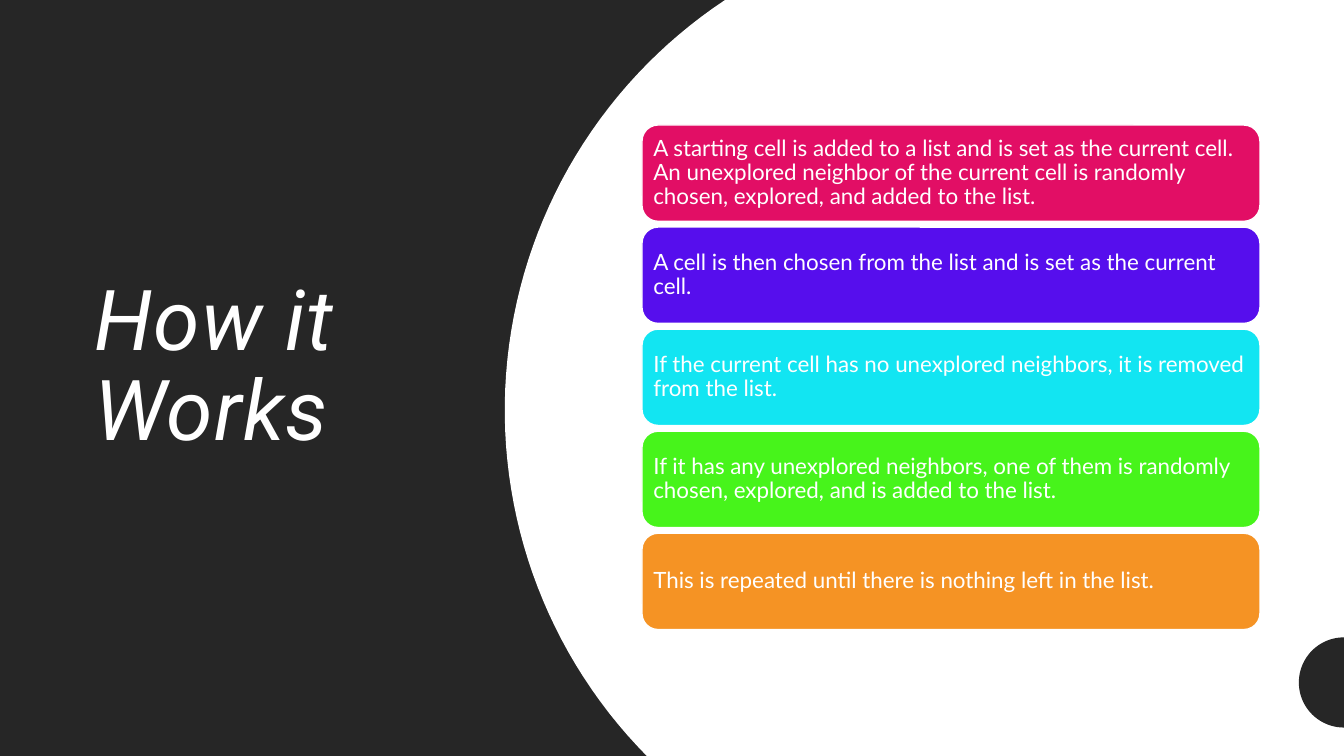
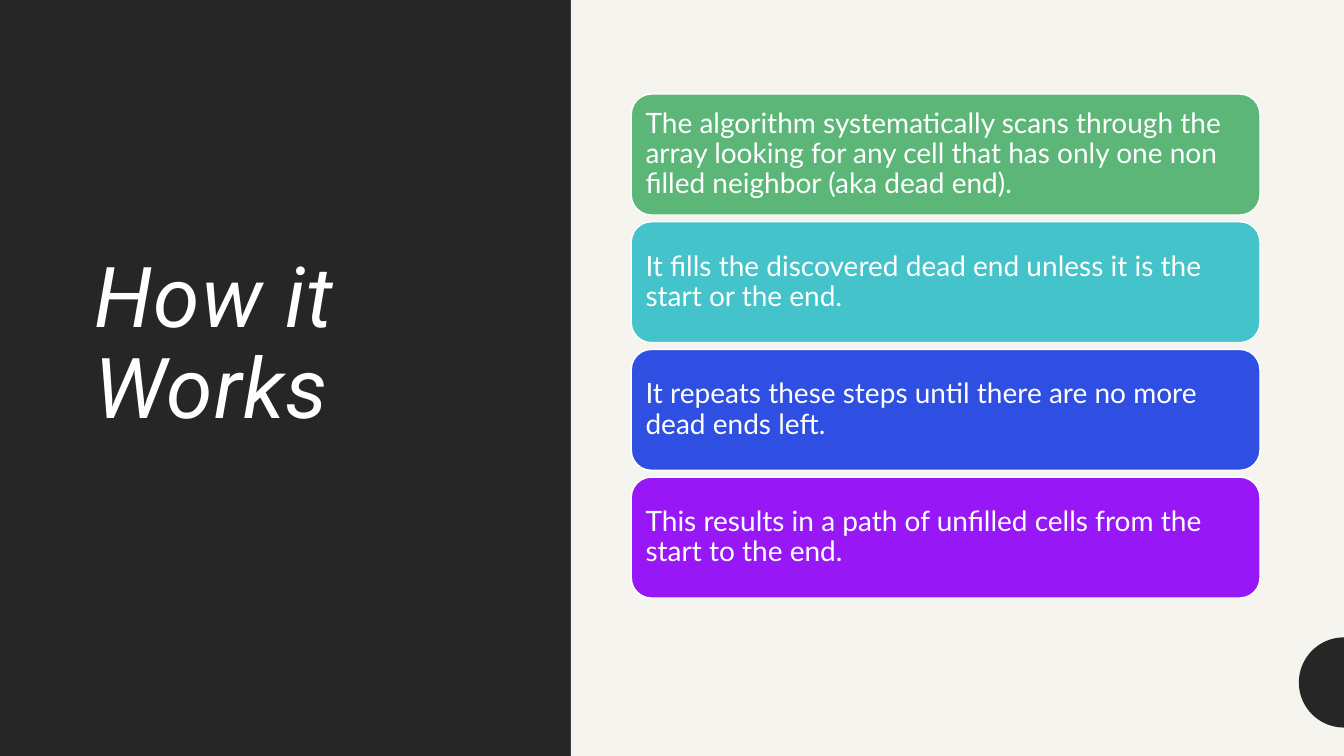
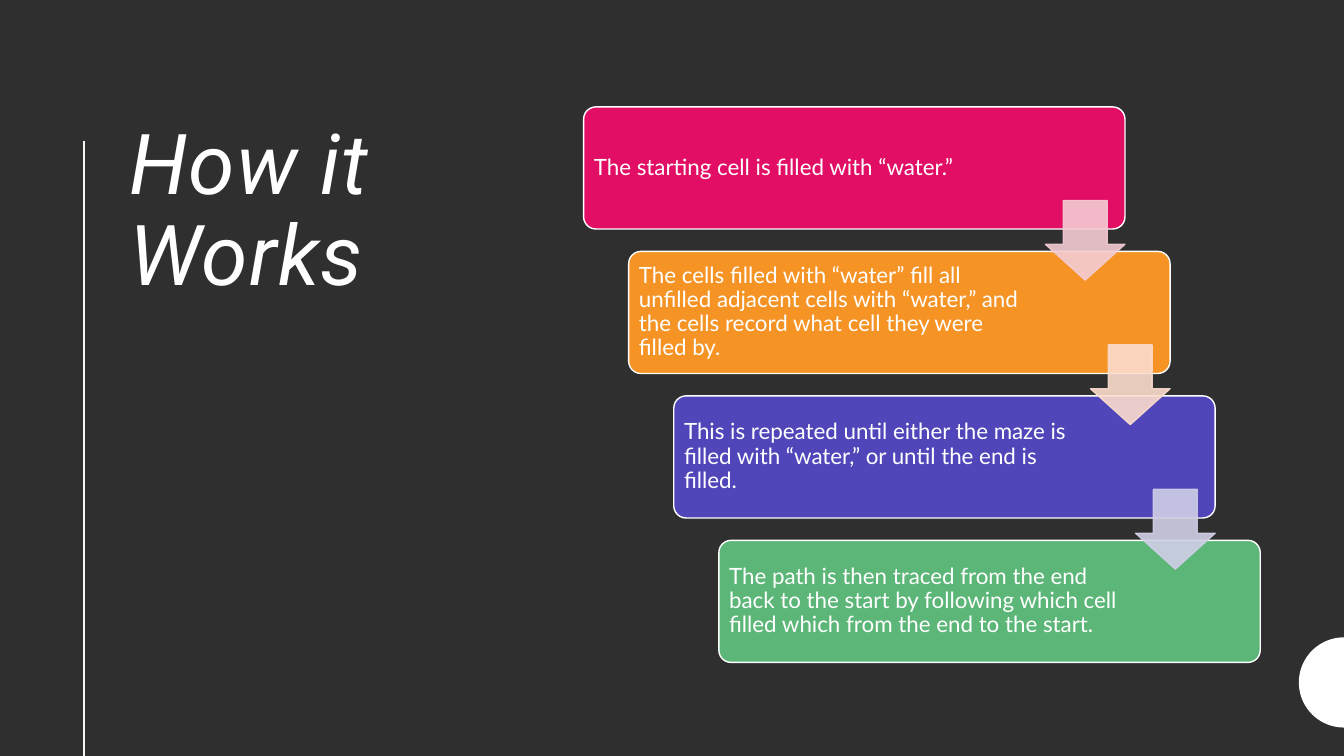
from math import asin, cos, pi, sin

from lxml.etree import SubElement
from pptx import Presentation
from pptx.dml.color import RGBColor
from pptx.enum.shapes import MSO_CONNECTOR, MSO_SHAPE
from pptx.enum.text import MSO_ANCHOR, MSO_AUTO_SIZE, PP_ALIGN
from pptx.oxml.ns import qn
from pptx.util import Pt

WIDE, HIGH = 960, 540
DARK, SLATE, CREAM, WHITE = "262626", "2F2F2F", "F6F4EF", "FFFFFF"
PINK, ORANGE, GREEN = "E20E65", "F59324", "5CB678"
HEAD, BODY = "Roboto", "Lato"


def rgb(code):
    return RGBColor.from_string(code)


def paint(shape, fill, line=None):
    shape.shadow.inherit = False
    shape.fill.solid()
    shape.fill.fore_color.rgb = rgb(fill)
    if line:
        shape.line.color.rgb = rgb(line)
        shape.line.width = Pt(1)
    else:
        shape.line.fill.background()


def fade(shape, share):
    """Make fill and line opaque only to the given percentage."""
    for tag in shape._element.spPr.iter(qn("a:srgbClr")):
        SubElement(tag, qn("a:alpha")).set("val", str(share * 1000))


def add(slide, kind, box):
    return slide.shapes.add_shape(kind, *[Pt(v) for v in box])


def arc(mid_x, mid_y, radius, start, end, steps=60):
    angles = [start + (end - start) * i / steps for i in range(steps + 1)]
    return [(mid_x + radius * cos(a), mid_y + radius * sin(a)) for a in angles]


def outline(slide, points, fill):
    spots = [(Pt(x), Pt(y)) for x, y in points]
    form = slide.shapes.build_freeform(*spots[0])
    form.add_line_segments(spots[1:], close=True)
    paint(form.convert_to_shape(), fill)


def knob(slide, fill):
    """Half disc at the right edge of every slide."""
    outline(slide, arc(WIDE, 487.5, 32.2, pi / 2, pi * 1.5), fill)


def start(deck, back, box, anchor=MSO_ANCHOR.MIDDLE):
    """Add a slide with its background and title."""
    slide = deck.slides.add_slide(deck.slide_layouts[5])
    slide.background.fill.solid()
    slide.background.fill.fore_color.rgb = rgb(back)
    title = slide.shapes.title
    title.left, title.top, title.width, title.height = [Pt(v) for v in box]
    frame = title.text_frame
    frame.text = "How it Works"
    frame.word_wrap = True
    frame.auto_size = MSO_AUTO_SIZE.NONE
    frame.vertical_anchor = anchor
    para = frame.paragraphs[0]
    para.alignment = PP_ALIGN.LEFT
    para.line_spacing = 0.9
    run = para.runs[0]
    run.font.name, run.font.size = HEAD, Pt(60)
    run.font.italic = True
    run.font.color.rgb = rgb(WHITE)
    run.font._element.set("spc", "100")
    return slide


def card(slide, box, fill, text, size, pad, right, bend):
    shape = add(slide, MSO_SHAPE.ROUNDED_RECTANGLE, box)
    shape.adjustments[0] = bend
    paint(shape, fill, WHITE)
    frame = shape.text_frame
    frame.text = text
    frame.word_wrap = True
    frame.vertical_anchor = MSO_ANCHOR.MIDDLE
    frame.margin_left = frame.margin_top = frame.margin_bottom = Pt(pad)
    frame.margin_right = Pt(right)
    para = frame.paragraphs[0]
    para.alignment = PP_ALIGN.LEFT
    para.line_spacing = 0.9
    font = para.runs[0].font
    font.name, font.size = BODY, Pt(size)
    font.color.rgb = rgb(WHITE)


def stack(slide, box, items, pitch, size, pad, right=None, bend=0.1667, shift=0):
    """Lay cards downward from the first box, each moved by shift and pitch."""
    left, top, width, height = box
    for i, (fill, text) in enumerate(items):
        spot = (left + i * shift, top + i * pitch, width, height)
        card(slide, spot, fill, text, size, pad, right or pad, bend)


def arrows(slide, box, fills, pitch, shift):
    """Link stepped cards with arrows at their lower right corners."""
    left, top, width, _ = box
    side = 56.9
    for i, fill in enumerate(fills):
        spot = (left + width - side + i * shift, top + 66.8 + i * pitch, side, side)
        arrow = add(slide, MSO_SHAPE.DOWN_ARROW, spot)
        arrow.adjustments[0] = 0.45
        arrow.adjustments[0], arrow.adjustments[1] = 0.55, 0.45
        paint(arrow, fill, fill)
        fade(arrow, 90)


def rule(slide, x, top, end):
    line = slide.shapes.add_connector(
        MSO_CONNECTOR.STRAIGHT, Pt(x), Pt(top), Pt(x), Pt(end))
    line.line.color.rgb = rgb(CREAM)
    line.line.width = Pt(1.5)
    SubElement(line._element.spPr, qn("a:effectLst"))


def growth(deck):
    """Curved white panel with five cards."""
    slide = start(deck, DARK, (60, 83.5, 266.4, 359.3))
    mid_x, mid_y, radius = 712, 293, 351.4
    curve = arc(mid_x, mid_y, radius, pi + asin(mid_y / radius),
                pi - asin((HIGH - mid_y) / radius))
    outline(slide, curve + [(WIDE, HIGH), (WIDE, 0)], WHITE)
    knob(slide, DARK)
    stack(slide, (458.6, 89.3, 441.4, 68.8), [
        (PINK, "A starting cell is added to a list and is set as the current cell. "
               "An unexplored neighbor of the current cell is randomly chosen, "
               "explored, and added to the list."),
        ("560EED", "A cell is then chosen from the list and is set as the current cell."),
        ("12E5F2", "If the current cell has no unexplored neighbors, it is removed "
                   "from the list."),
        ("47F41B", "If it has any unexplored neighbors, one of them is randomly "
                   "chosen, explored, and is added to the list."),
        (ORANGE, "This is repeated until there is nothing left in the list."),
    ], pitch=72.9, size=16, pad=4.8)


def ends(deck):
    """Straight cream panel with four cards."""
    slide = start(deck, DARK, (60, 60, 301.7, 374.4))
    edge = 407.8
    paint(add(slide, MSO_SHAPE.RECTANGLE, (edge, 0, WIDE - edge, HIGH)), CREAM)
    knob(slide, DARK)
    stack(slide, (450.9, 67.2, 449.1, 86.4), [
        (GREEN, "The algorithm systematically scans through the array looking for "
                "any cell that has only one non filled neighbor (aka dead end)."),
        ("45C3CB", "It fills the discovered dead end unless it is the start or the end."),
        ("2E4FE1", "It repeats these steps until there are no more dead ends left."),
        ("9717F7", "This results in a path of unfilled cells from the start to the end."),
    ], pitch=91.2, size=20, pad=6)


def flood(deck):
    """Dark slide with stepped cards joined by arrows."""
    slide = start(deck, SLATE, (85, 83.5, 281.5, 378.7), MSO_ANCHOR.TOP)
    rule(slide, 60, 100.8, HIGH)
    knob(slide, WHITE)
    box, pitch, shift = (416.9, 76.4, 386.7, 87.2), 103.2, 32.2
    stack(slide, box, [
        (PINK, "The starting cell is filled with “water.”"),
        (ORANGE, "The cells filled with “water” fill all unfilled adjacent cells "
                 "with “water,” and the cells record what cell they were filled by."),
        ("5046B9", "This is repeated until either the maze is filled with “water,” "
                   "or until the end is filled."),
        (GREEN, "The path is then traced from the end back to the start by following "
                "which cell filled which from the end to the start."),
    ], pitch, size=16, pad=4.8, right=94, bend=0.1, shift=shift)
    arrows(slide, box, ["F4CCD3", "FBDCCD", "D0CFE6"], pitch, shift)


def main():
    deck = Presentation()
    deck.slide_width, deck.slide_height = Pt(WIDE), Pt(HIGH)
    for build in (growth, ends, flood):
        build(deck)
    deck.save("out.pptx")


if __name__ == "__main__":
    main()
